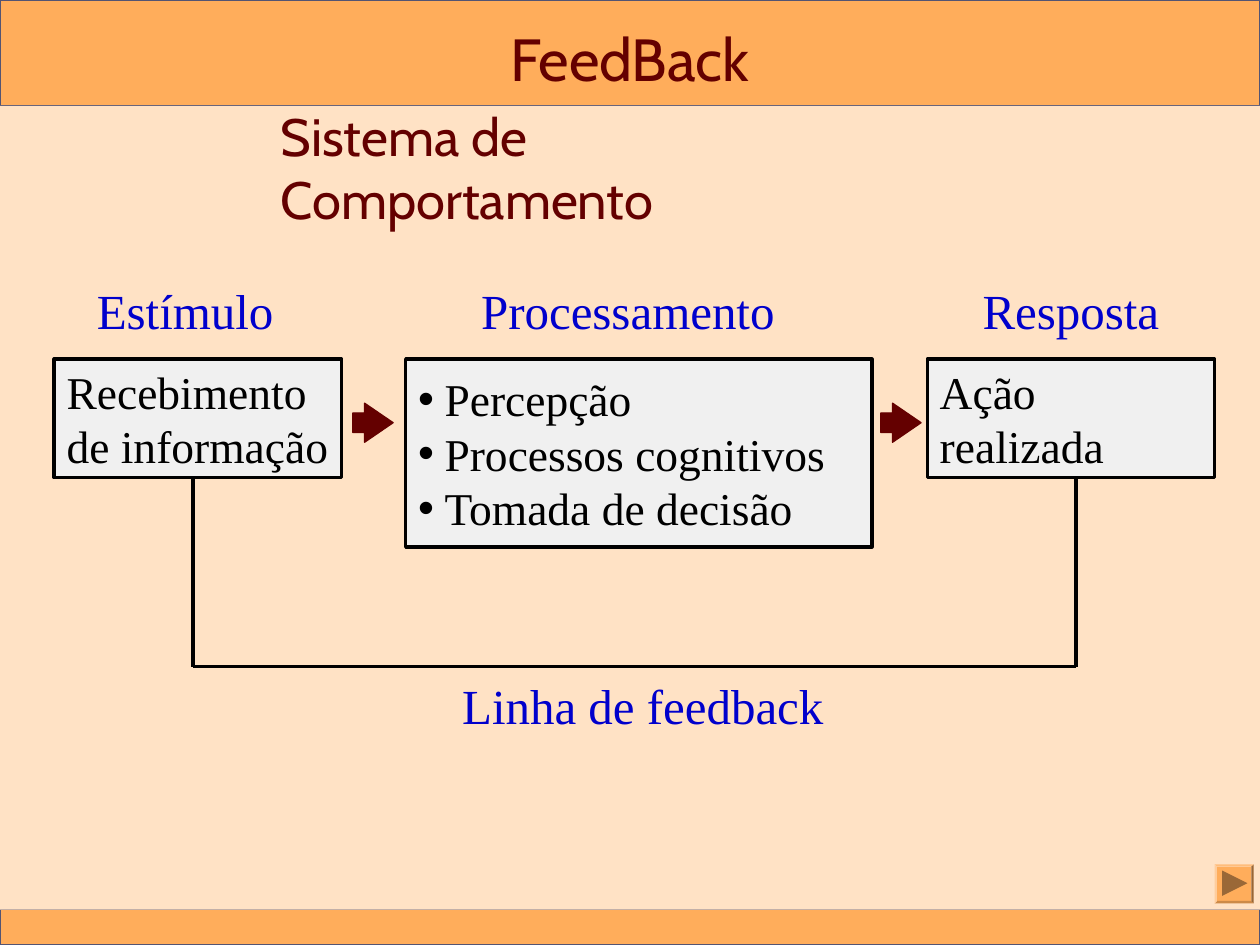
from dataclasses import dataclass

from lxml.etree import SubElement
from pptx import Presentation
from pptx.dml.color import RGBColor
from pptx.enum.shapes import MSO_CONNECTOR, MSO_SHAPE
from pptx.enum.text import MSO_ANCHOR, PP_ALIGN
from pptx.oxml.ns import qn
from pptx.util import Inches, Pt


@dataclass(frozen=True)
class Theme:
    band: str = "FFAD5B"
    band_line: str = "545472"
    background: str = "FFE2C5"
    dark_red: str = "640000"
    blue: str = "0000CC"
    black: str = "000000"
    box: str = "F0F0F0"
    button_icon: str = "9A6837"
    title_font: str = "Cabin"
    body_font: str = "Times New Roman"
    title_size: int = 34
    subtitle_size: int = 30
    label_size: int = 28
    body_size: int = 26


@dataclass(frozen=True)
class Area:
    left: float
    top: float
    width: float
    height: float

    def lengths(self) -> list:
        return [Inches(value) for value in (self.left, self.top, self.width, self.height)]


@dataclass(frozen=True)
class Stage:
    area: Area
    lines: tuple[str, ...]
    bulleted: bool = False


@dataclass(frozen=True)
class Label:
    text: str
    area: Area
    size: int
    font: str
    color: str
    align: PP_ALIGN = PP_ALIGN.LEFT
    anchor: MSO_ANCHOR = MSO_ANCHOR.TOP
    wrap: bool = False
    tab_stops: tuple[float, ...] = ()


THEME = Theme()
STAGE_TOP = 2.85
SIDE_HEIGHT = 0.94
LOOP_LEFT, LOOP_RIGHT, LOOP_BOTTOM = 1.53, 8.54, 5.29
BULLET_INDENT = 0.21

BANDS = (Area(0, 0, 10, 0.84), Area(0, 7.22, 10, 0.28))
STAGES = (
    Stage(Area(0.43, STAGE_TOP, 2.28, SIDE_HEIGHT), ("Recebimento", "de informação")),
    Stage(Area(3.22, STAGE_TOP, 3.7, 1.49),
          ("Percepção", "Processos cognitivos", "Tomada de decisão"), bulleted=True),
    Stage(Area(7.36, STAGE_TOP, 2.28, SIDE_HEIGHT), ("Ação", "realizada")),
)
LABELS = (
    Label("FeedBack", Area(0.5, 0.08, 9, 0.71), THEME.title_size, THEME.title_font,
          THEME.dark_red, PP_ALIGN.CENTER, MSO_ANCHOR.BOTTOM, wrap=True),
    Label("Sistema de Comportamento", Area(2.13, 0.78, 5.2, 0.6), THEME.subtitle_size,
          THEME.title_font, THEME.dark_red),
    Label("Estímulo\tProcessamento\tResposta", Area(0.67, 2.18, 8.7, 0.57), THEME.label_size,
          THEME.body_font, THEME.blue, wrap=True, tab_stops=(3.05, 7.03)),
    Label("Linha de feedback", Area(3.57, 5.31, 3.07, 0.57), THEME.label_size,
          THEME.body_font, THEME.blue),
)


def add_block(slide, kind: MSO_SHAPE, area: Area, fill: str, line: str = "", width: float = 0.75):
    shape = slide.shapes.add_shape(kind, *area.lengths())
    shape.shadow.inherit = False
    shape.fill.solid()
    shape.fill.fore_color.rgb = RGBColor.from_string(fill)
    if line:
        shape.line.color.rgb = RGBColor.from_string(line)
        shape.line.width = Pt(width)
    else:
        shape.line.fill.background()
    return shape


def add_text(paragraph, text: str, size: int, font: str, color: str) -> None:
    run = paragraph.add_run()
    run.text = text
    run.font.size = Pt(size)
    run.font.name = font
    run.font.color.rgb = RGBColor.from_string(color)


def set_bullet(paragraph) -> None:
    properties = paragraph._p.get_or_add_pPr()
    properties.set("marL", str(Inches(BULLET_INDENT)))
    properties.set("indent", str(-Inches(BULLET_INDENT)))
    SubElement(properties, qn("a:buFont")).set("typeface", "Arial")
    SubElement(properties, qn("a:buChar")).set("char", "•")


def add_label(slide, label: Label) -> None:
    frame = slide.shapes.add_textbox(*label.area.lengths()).text_frame
    frame.word_wrap = label.wrap
    frame.vertical_anchor = label.anchor
    paragraph = frame.paragraphs[0]
    paragraph.alignment = label.align
    if label.tab_stops:
        tab_list = SubElement(paragraph._p.get_or_add_pPr(), qn("a:tabLst"))
        for position in label.tab_stops:
            tab = SubElement(tab_list, qn("a:tab"))
            tab.set("pos", str(Inches(position)))
            tab.set("algn", "l")
    add_text(paragraph, label.text, label.size, label.font, label.color)


def add_stage(slide, stage: Stage) -> None:
    shape = add_block(slide, MSO_SHAPE.RECTANGLE, stage.area, THEME.box, THEME.black, 2)
    frame = shape.text_frame
    frame.word_wrap = False
    frame.vertical_anchor = MSO_ANCHOR.MIDDLE
    for index, line in enumerate(stage.lines):
        paragraph = frame.add_paragraph() if index else frame.paragraphs[0]
        paragraph.alignment = PP_ALIGN.LEFT
        if stage.bulleted:
            set_bullet(paragraph)
        add_text(paragraph, line, THEME.body_size, THEME.body_font, THEME.black)


def add_line(slide, start: tuple[float, float], end: tuple[float, float]) -> None:
    points = [Inches(value) for value in (*start, *end)]
    connector = slide.shapes.add_connector(MSO_CONNECTOR.STRAIGHT, *points)
    connector.line.color.rgb = RGBColor.from_string(THEME.black)
    connector.line.width = Pt(2)
    SubElement(connector._element.spPr, qn("a:effectLst"))


def main() -> None:
    presentation = Presentation()
    presentation.slide_width = Inches(10)
    presentation.slide_height = Inches(7.5)
    slide = presentation.slides.add_slide(presentation.slide_layouts[6])

    # Bands and background
    for band in BANDS:
        add_block(slide, MSO_SHAPE.RECTANGLE, band, THEME.band, THEME.band_line)
    add_block(slide, MSO_SHAPE.RECTANGLE, Area(0, 0.84, 10, 6.38), THEME.background)

    # Titles and labels
    for label in LABELS:
        add_label(slide, label)

    # Forward button
    button = add_block(slide, MSO_SHAPE.BEVEL, Area(9.64, 6.86, 0.31, 0.31), THEME.band)
    button.adjustments[0] = 0.06
    icon = add_block(slide, MSO_SHAPE.ISOSCELES_TRIANGLE, Area(9.7, 6.91, 0.2, 0.2),
                     THEME.button_icon)
    icon.rotation = 90

    # Stages and the arrows between them
    for stage in STAGES:
        add_stage(slide, stage)
    for left in (2.8, 6.99):
        arrow = add_block(slide, MSO_SHAPE.RIGHT_ARROW, Area(left, 3.2, 0.32, 0.31),
                          THEME.dark_red, THEME.dark_red)
        arrow.adjustments[0] = 0.5
        arrow.adjustments[1] = 0.73

    # Feedback loop
    for x in (LOOP_LEFT, LOOP_RIGHT):
        add_line(slide, (x, STAGE_TOP + SIDE_HEIGHT), (x, LOOP_BOTTOM))
    add_line(slide, (LOOP_RIGHT, LOOP_BOTTOM), (LOOP_LEFT, LOOP_BOTTOM))

    presentation.save("out.pptx")


if __name__ == "__main__":
    main()
